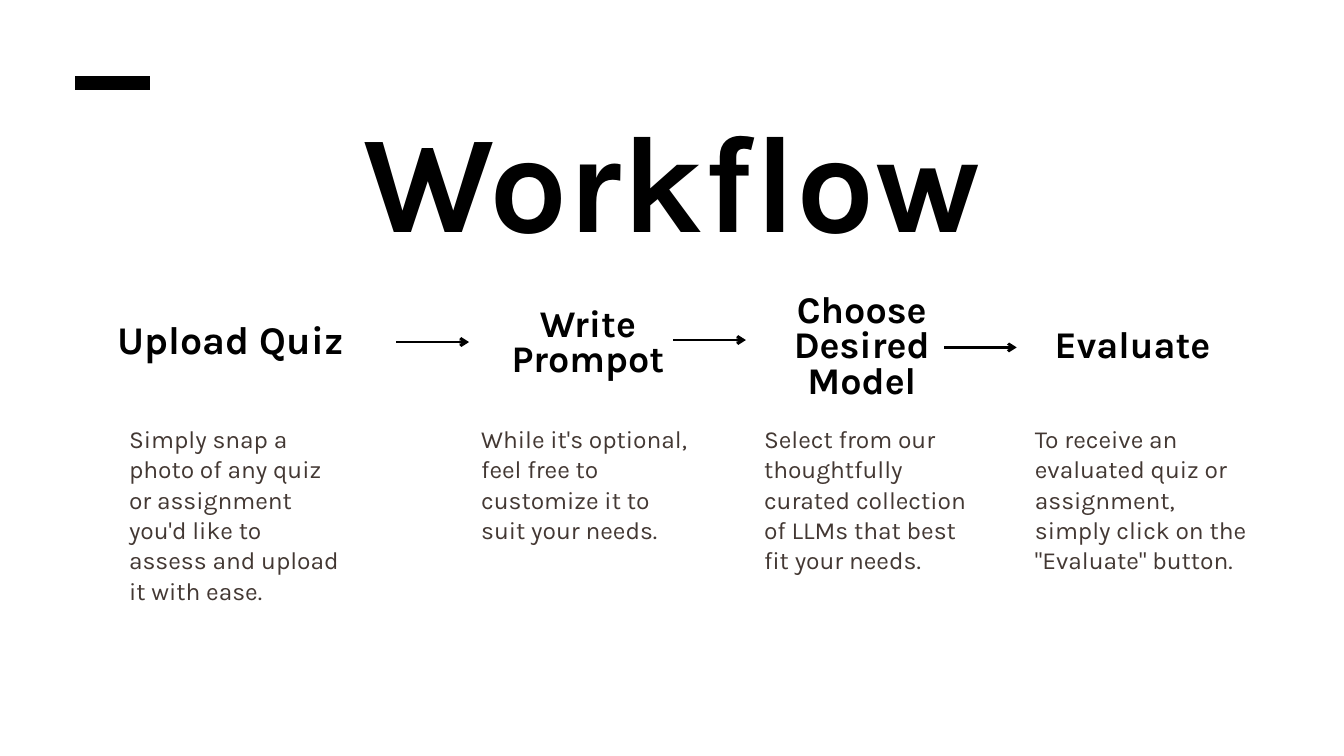
from dataclasses import dataclass
from typing import Any, NamedTuple

from lxml import etree
from pptx import Presentation
from pptx import util as u
from pptx.dml.color import RGBColor
from pptx.enum import shapes, text
from pptx.oxml import ns


class TextStyle(NamedTuple):
    size: float
    spacing: float
    color: str
    bold: bool
    alignment: text.PP_ALIGN


@dataclass(frozen=True)
class Theme:
    font: str = "Karla"
    background: str = "FFFFFF"
    ink: str = "000000"
    body_ink: str = "433833"
    title_size: float = 148.5
    body_size: float = 26.3
    accent_width: float = 15
    arrow_width: float = 3

    def title(self) -> TextStyle:
        return TextStyle(self.title_size, 138.1, self.ink, True, text.PP_ALIGN.CENTER)

    def heading(self, size: float) -> TextStyle:
        return TextStyle(size, round(size * 0.93, 1), self.ink, True, text.PP_ALIGN.CENTER)

    def body(self) -> TextStyle:
        return TextStyle(self.body_size, 32.6, self.body_ink, False, text.PP_ALIGN.LEFT)


class Box(NamedTuple):
    left: float
    top: float
    width: float
    height: float


class Step(NamedTuple):
    heading: str
    heading_box: Box
    heading_size: float
    body: str
    body_left: float
    body_height: float


class Arrow(NamedTuple):
    left: float
    y: float


THEME = Theme()
BODY_TOP = 6.29
BODY_WIDTH = 3.18
ARROW_LENGTH = 1.08

STEPS = [
    Step("Upload Quiz ", Box(1.12, 4.85, 4.77, 0.58), 42,
         "Simply snap a photo of any quiz or assignment you'd like to assess "
         "and upload it with ease.", 1.92, 2.67),
    Step("Write Prompot", Box(6.98, 4.61, 3.54, 1.07), 40.3,
         "While it's optional, feel free to customize it to suit your needs.",
         7.16, 1.78),
    Step("Choose Desired Model", Box(11.1, 4.41, 3.45, 1.59), 40.4,
         "Select from our thoughtfully curated collection of LLMs that best "
         "fit your needs.", 11.37, 2.22),
    Step("Evaluate", Box(15.13, 4.93, 3.45, 0.56), 40.4,
         "To receive an evaluated quiz or assignment, simply click on the "
         '"Evaluate" button.', 15.4, 2.22),
]

ARROWS = [Arrow(5.9, 5.09), Arrow(10.02, 5.06), Arrow(14.05, 5.17)]


def apply_format(target: Any, values: dict[str, Any]) -> None:
    for name, value in values.items():
        setattr(target, name, value)


def write_text(shape: Any, content: str, box: Box, style: TextStyle) -> None:
    apply_format(shape, {name: u.Inches(value) for name, value in box._asdict().items()})
    frame = shape.text_frame
    apply_format(frame, {
        "word_wrap": True,
        "auto_size": text.MSO_AUTO_SIZE.SHAPE_TO_FIT_TEXT,
        "vertical_anchor": text.MSO_ANCHOR.TOP,
        "margin_left": 0,
        "margin_top": 0,
        "margin_right": 0,
        "margin_bottom": 0,
    })
    paragraph = frame.paragraphs[0]
    apply_format(paragraph, {
        "alignment": style.alignment,
        "line_spacing": u.Pt(style.spacing),
        "space_before": u.Pt(0),
    })
    run = paragraph.add_run()
    run.text = content
    apply_format(run.font, {"name": THEME.font, "size": u.Pt(style.size), "bold": style.bold})
    run.font.color.rgb = RGBColor.from_string(style.color)


def add_text(slide: Any, content: str, box: Box, style: TextStyle) -> None:
    shape = slide.shapes.add_textbox(*(u.Inches(value) for value in box))
    write_text(shape, content, box, style)


def add_line(slide: Any, left: float, y: float, length: float, width: float,
             arrowhead: bool = False) -> None:
    connector = slide.shapes.add_connector(
        shapes.MSO_CONNECTOR.STRAIGHT,
        u.Inches(left), u.Inches(y), u.Inches(left + length), u.Inches(y))
    connector.line.width = u.Pt(width)
    connector.line.color.rgb = RGBColor.from_string(THEME.ink)
    if arrowhead:
        line = connector.line._get_or_add_ln()
        etree.SubElement(line, ns.qn("a:tailEnd"), type="arrow")
    etree.SubElement(connector._element.spPr, ns.qn("a:effectLst"))


def add_step(slide: Any, step: Step) -> None:
    add_text(slide, step.heading, step.heading_box, THEME.heading(step.heading_size))
    body_box = Box(step.body_left, BODY_TOP, BODY_WIDTH, step.body_height)
    add_text(slide, step.body, body_box, THEME.body())


def main() -> None:
    presentation = Presentation()
    presentation.slide_width = u.Inches(20)
    presentation.slide_height = u.Inches(11.25)
    slide = presentation.slides.add_slide(presentation.slide_layouts.get_by_name("Title Only"))
    slide.background.fill.solid()
    slide.background.fill.fore_color.rgb = RGBColor.from_string(THEME.background)

    write_text(slide.shapes.title, "Workflow", Box(2.82, 1.95, 14.36, 2.06), THEME.title())
    add_line(slide, 1.12, 1.23, 1.11, THEME.accent_width)
    for step in STEPS:
        add_step(slide, step)
    for arrow in ARROWS:
        add_line(slide, arrow.left, arrow.y, ARROW_LENGTH, THEME.arrow_width, arrowhead=True)

    presentation.save("out.pptx")


if __name__ == "__main__":
    main()
